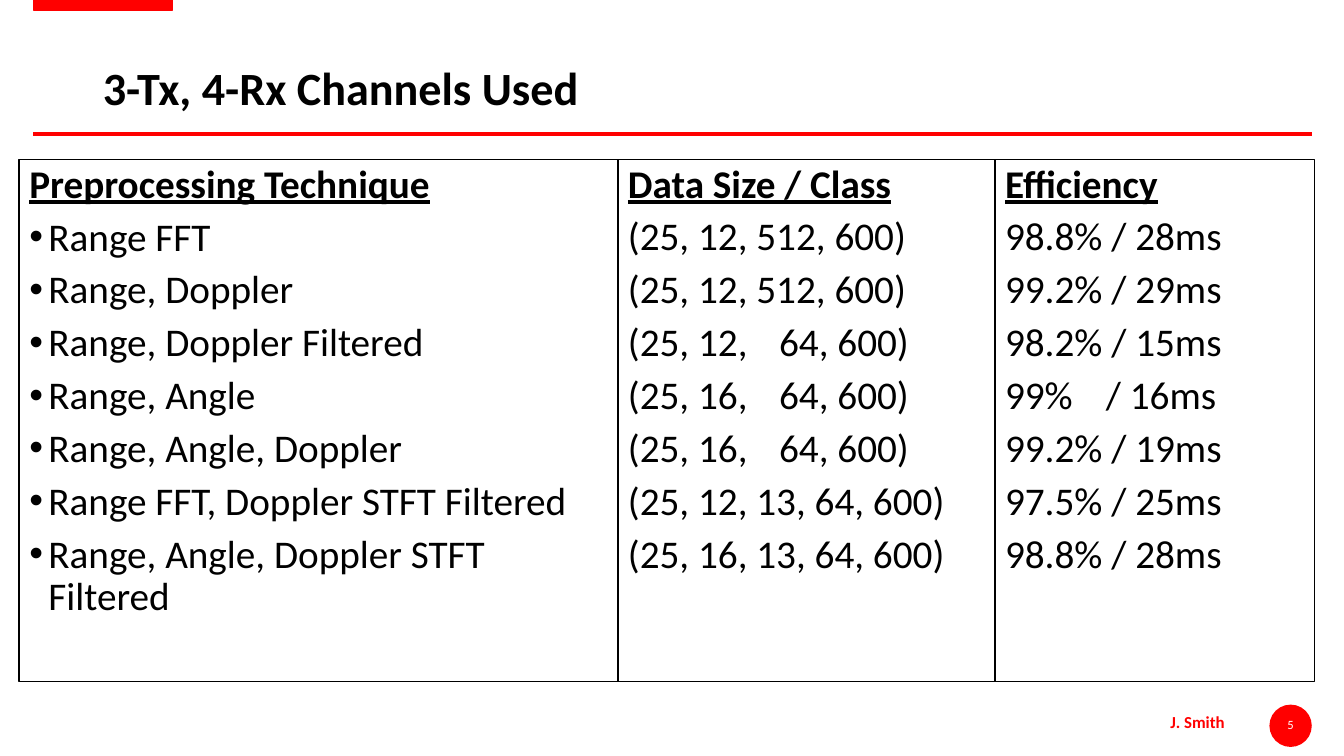
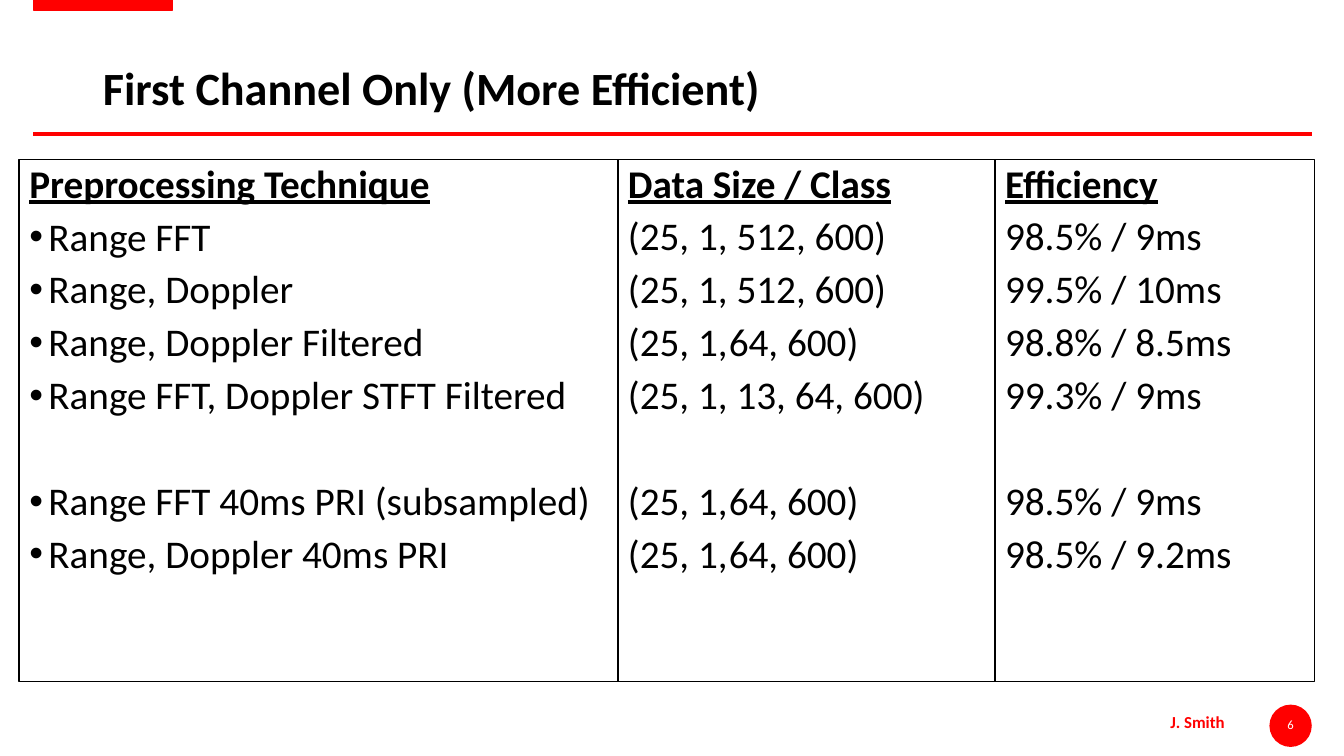
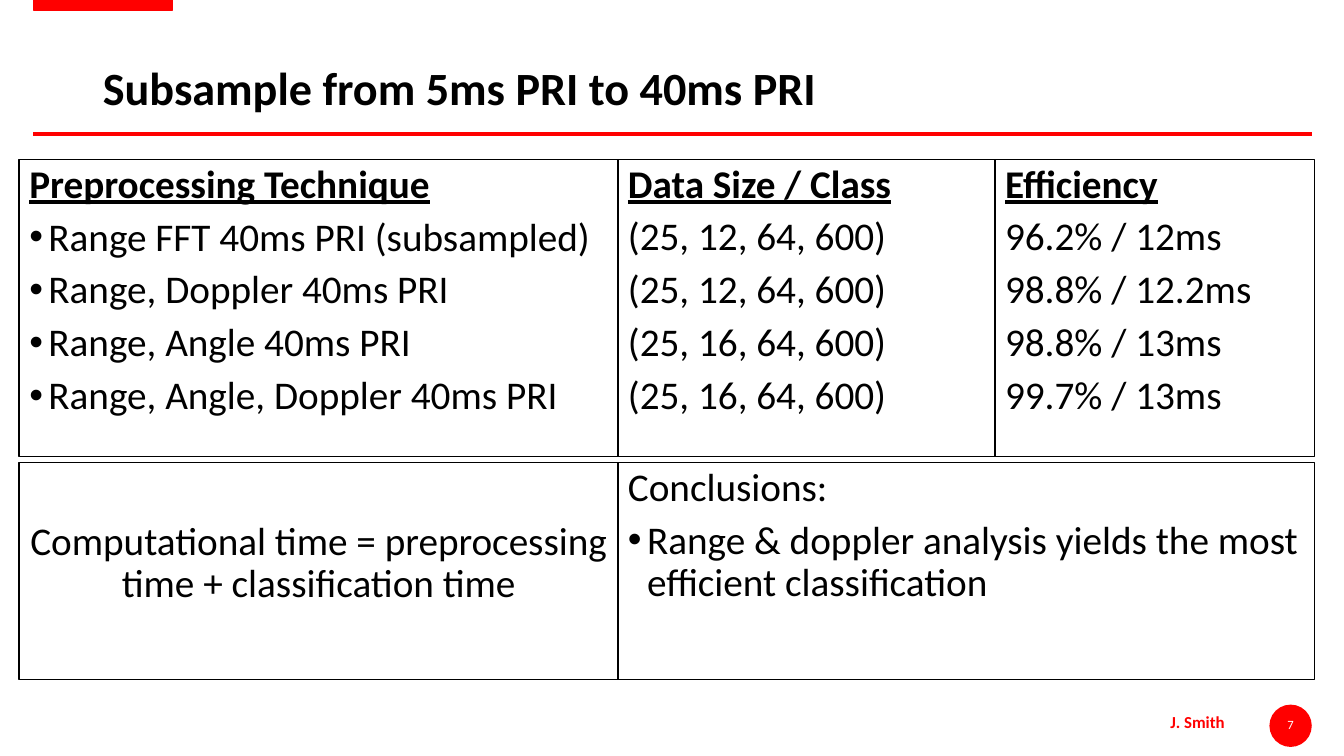
from lxml import etree
from pptx import Presentation
from pptx.dml.color import RGBColor
from pptx.enum.shapes import MSO_CONNECTOR, MSO_SHAPE
from pptx.enum.text import MSO_ANCHOR, MSO_AUTO_SIZE, PP_ALIGN
from pptx.oxml.ns import qn
from pptx.util import Inches, Pt

RED = RGBColor(0xFF, 0x00, 0x00)
BLACK = RGBColor(0x00, 0x00, 0x00)
WHITE = RGBColor(0xFF, 0xFF, 0xFF)
FONT = "Calibri"
RECT, OVAL = MSO_SHAPE.RECTANGLE, MSO_SHAPE.OVAL
STRAIGHT = MSO_CONNECTOR.STRAIGHT
TOP, MIDDLE = MSO_ANCHOR.TOP, MSO_ANCHOR.MIDDLE
LEFT, CENTER = PP_ALIGN.LEFT, PP_ALIGN.CENTER
NO_FIT = MSO_AUTO_SIZE.NONE

BODY_SIZE = 28
SPACE, GROUP_SPACE = 7.5, 45.5
INDENT = 0.19
TABLE_X, TABLE_Y = 0.19, 1.58
WIDTHS = (5.94, 3.74, 3.17)
HEADERS = ("Preprocessing Technique", "Data Size / Class", "Efficiency")
FULL_H, SHORT_H = 5.18, 2.95
NOTES_Y, NOTES_H = 4.59, 2.15

ALL_CHANNELS = [
    ("Range FFT", "(25, 12, 512, 600)", "98.8% / 28ms"),
    ("Range, Doppler", "(25, 12, 512, 600)", "99.2% / 29ms"),
    ("Range, Doppler Filtered", "(25, 12,\t64, 600)", "98.2% / 15ms"),
    ("Range, Angle", "(25, 16,\t64, 600)", "99%\t/ 16ms"),
    ("Range, Angle, Doppler", "(25, 16,\t64, 600)", "99.2% / 19ms"),
    ("Range FFT, Doppler STFT Filtered", "(25, 12, 13, 64, 600)", "97.5% / 25ms"),
    ("Range, Angle, Doppler STFT Filtered", "(25, 16, 13, 64, 600)", "98.8% / 28ms"),
]
FIRST_CHANNEL = [
    ("Range FFT", "(25, 1, 512, 600)", "98.5% / 9ms"),
    ("Range, Doppler", "(25, 1, 512, 600)", "99.5% / 10ms"),
    ("Range, Doppler Filtered", "(25, 1,\t64, 600)", "98.8% / 8.5ms"),
    ("Range FFT, Doppler STFT Filtered", "(25, 1, 13, 64, 600)", "99.3% / 9ms"),
    None,
    ("Range FFT 40ms PRI (subsampled)", "(25, 1,\t64, 600)", "98.5% / 9ms"),
    ("Range, Doppler 40ms PRI", "(25, 1,\t64, 600)", "98.5% / 9.2ms"),
]
SUBSAMPLED = [
    ("Range FFT 40ms PRI (subsampled)", "(25, 12, 64, 600)", "96.2% / 12ms"),
    ("Range, Doppler 40ms PRI", "(25, 12, 64, 600)", "98.8% / 12.2ms"),
    ("Range, Angle 40ms PRI", "(25, 16, 64, 600)", "98.8% / 13ms"),
    ("Range, Angle, Doppler 40ms PRI", "(25, 16, 64, 600)", "99.7% / 13ms"),
]


def place(sp, x, y, w, h):
    sp.left, sp.top, sp.width, sp.height = map(Inches, (x, y, w, h))


def style_runs(p, size, color=BLACK, bold=False, underline=False):
    for r in p.runs:
        r.font.name = FONT
        r.font.size = Pt(size)
        r.font.color.rgb = color
        r.font.bold = bold
        r.font.underline = underline


def set_bullet(p, bullet):
    pPr = p._p.get_or_add_pPr()
    indent = Inches(INDENT) if bullet else 0
    pPr.set("marL", str(indent))
    pPr.set("indent", str(-indent))
    if bullet:
        etree.SubElement(pPr, qn("a:buFont"), typeface="Arial")
        etree.SubElement(pPr, qn("a:buChar"), char="•")
    else:
        etree.SubElement(pPr, qn("a:buNone"))


def set_tab(p, pos):
    tabs = etree.SubElement(p._p.get_or_add_pPr(), qn("a:tabLst"))
    etree.SubElement(tabs, qn("a:tab"), pos=str(Inches(pos)), algn="l")


def add_line(tf, text, bullet=False, heading=False, space=SPACE, tab=None, align=LEFT):
    p = tf.add_paragraph() if tf.text else tf.paragraphs[0]
    p.text = text
    p.alignment = align
    p.line_spacing = 0.9
    p.space_before = Pt(space)
    set_bullet(p, bullet)
    if "\t" in text:
        set_tab(p, tab)
    style_runs(p, BODY_SIZE, bold=heading, underline=heading)


def format_box(sp, x, y, w, h):
    place(sp, x, y, w, h)
    sp.fill.solid()
    sp.fill.fore_color.rgb = WHITE
    sp.line.color.rgb = BLACK
    sp.line.width = Pt(1)
    tf = sp.text_frame
    tf.word_wrap = True
    tf.auto_size = NO_FIT
    tf.vertical_anchor = TOP
    return tf


def add_box(s, x, y, w, h):
    return format_box(s.shapes.add_textbox(0, 0, 0, 0), x, y, w, h)


def add_label(s, text, x, y, w, h, size, color, bold=False):
    tf = s.shapes.add_textbox(*map(Inches, (x, y, w, h))).text_frame
    tf.text = text
    style_runs(tf.paragraphs[0], size, color, bold)
    return tf


def add_red_shape(s, kind, x, y, w, h):
    sp = s.shapes.add_shape(kind, *map(Inches, (x, y, w, h)))
    sp.shadow.inherit = False
    sp.fill.solid()
    sp.fill.fore_color.rgb = RED
    sp.line.fill.background()
    return sp


def decorate_layout(layout, s):
    existing = len(s.shapes)
    add_red_shape(s, OVAL, 12.59, 6.99, 0.42, 0.42)
    tab = add_red_shape(s, RECT, 0.33, -0.02, 1.38, 0.12)
    tab.line.color.rgb = RED
    tab.line.width = Pt(1)
    rule = s.shapes.add_connector(STRAIGHT, *map(Inches, (0.33, 1.33, 13.01, 1.33)))
    rule.line.color.rgb = RED
    rule.line.width = Pt(3)
    etree.SubElement(rule.element.spPr, qn("a:effectLst"))
    tf = add_label(s, "J. Smith", 11.51, 7.01, 0.75, 0.3, 12, RED, True)
    tf.word_wrap = False
    for number, sp in enumerate(list(s.shapes)[existing:], 20):
        sp.element.xpath(".//p:cNvPr")[0].set("id", str(number))
        layout.shapes.element.append(sp.element)


def add_title(s, text):
    title = s.shapes.title
    place(title, 0.92, 0.4, 11.5, 0.99)
    tf = title.text_frame
    tf.text = text
    tf.auto_size = NO_FIT
    tf.vertical_anchor = MIDDLE
    p = tf.paragraphs[0]
    p.alignment = LEFT
    p.line_spacing = 0.9
    style_runs(p, 33, bold=True)


def add_page_number(s, number):
    tf = add_label(s, str(number), 12.64, 7.09, 0.32, 0.2, 9, WHITE)
    tf.margin_left = tf.margin_right = tf.margin_top = tf.margin_bottom = 0
    tf.vertical_anchor = MIDDLE
    tf.paragraphs[0].alignment = CENTER


def add_columns(s, rows, x, y, h, tabs):
    for i, (header, w, tab) in enumerate(zip(HEADERS, WIDTHS, tabs)):
        if i == 0:
            tf = format_box(s.placeholders[1], x, y, w, h)
        else:
            tf = add_box(s, x, y, w, h)
        add_line(tf, header, heading=True)
        space = SPACE
        for row in rows:
            if row is None:
                space = GROUP_SPACE
                continue
            add_line(tf, row[i], bullet=i == 0, space=space, tab=tab)
            space = SPACE
        x += w


def add_notes(s, x, y, h):
    tf = add_box(s, x, y, WIDTHS[0], h)
    tf.margin_top = Inches(0.58)
    add_line(tf, "Computational time = preprocessing time + classification time", align=CENTER)
    tf = add_box(s, x + WIDTHS[0], y, sum(WIDTHS[1:]), h)
    add_line(tf, "Conclusions:")
    add_line(tf, "Range & doppler analysis yields the most efficient classification", bullet=True)


def add_results_slide(prs, layout, number, title, rows, h, tabs=(None, None, None)):
    s = prs.slides.add_slide(layout)
    add_title(s, title)
    add_columns(s, rows, TABLE_X, TABLE_Y, h, tabs)
    add_page_number(s, number)
    return s


def main():
    prs = Presentation()
    prs.slide_width, prs.slide_height = Inches(13.33), Inches(7.5)
    layout = prs.slide_layouts[1]
    s = add_results_slide(prs, layout, 5, "3-Tx, 4-Rx Channels Used",
                          ALL_CHANNELS, FULL_H, (None, 1.45, 1.02))
    decorate_layout(layout, s)
    add_results_slide(prs, layout, 6, "First Channel Only (More Efficient)",
                      FIRST_CHANNEL, FULL_H, (None, 1.25, None))
    s = add_results_slide(prs, layout, 7, "Subsample from 5ms PRI to 40ms PRI",
                          SUBSAMPLED, SHORT_H)
    add_notes(s, TABLE_X, NOTES_Y, NOTES_H)
    prs.save("out.pptx")


if __name__ == "__main__":
    main()
